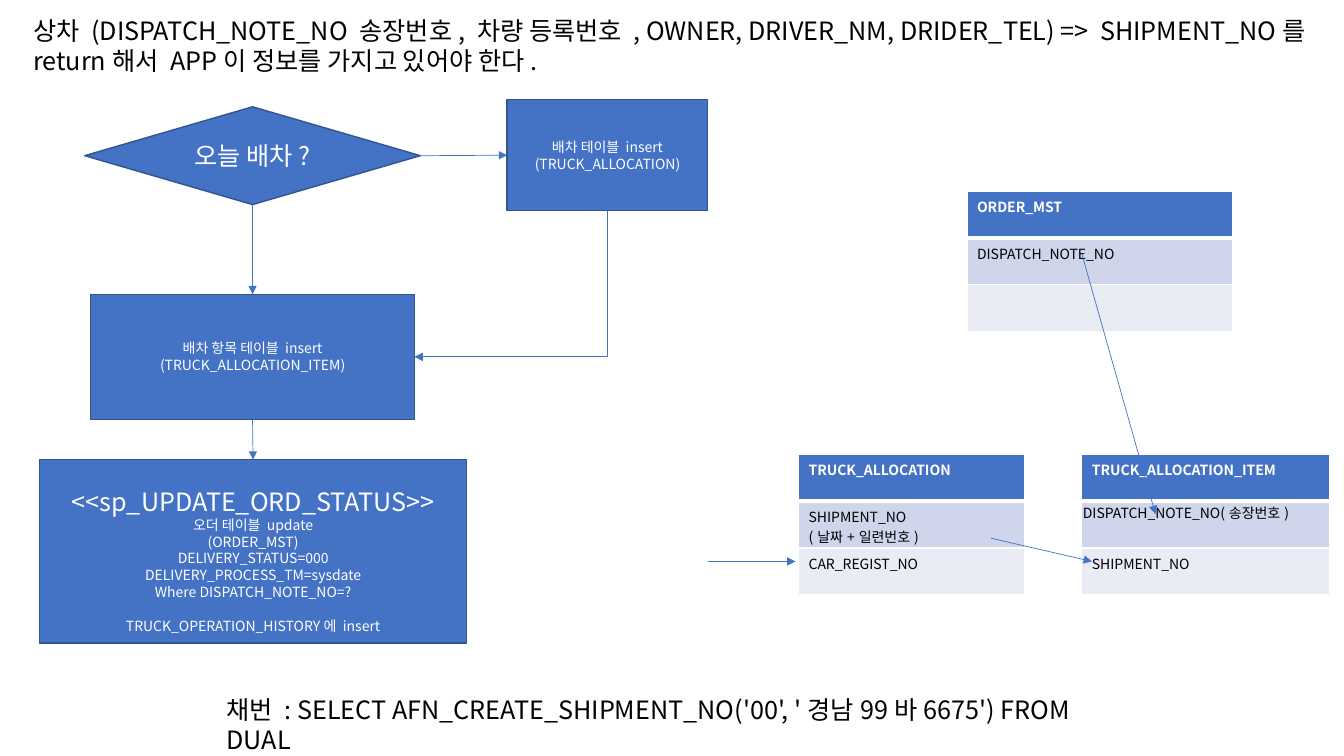
from pptx import Presentation
from pptx.dml.color import RGBColor
from pptx.enum.shapes import MSO_CONNECTOR, MSO_SHAPE
from pptx.enum.text import MSO_ANCHOR, PP_ALIGN
from pptx.oxml.ns import qn
from pptx.oxml.xmlchemy import OxmlElement
from pptx.util import Inches, Pt

BLUE = RGBColor(0x44, 0x72, 0xC4)
OUTLINE = RGBColor(0x32, 0x54, 0x91)
BAND_DARK = RGBColor(0xCF, 0xD5, 0xEA)
BAND_LIGHT = RGBColor(0xE9, 0xEB, 0xF5)
WHITE = RGBColor(0xFF, 0xFF, 0xFF)
BLACK = RGBColor(0, 0, 0)

RECTANGLE, DIAMOND = MSO_SHAPE.RECTANGLE, MSO_SHAPE.DIAMOND
STRAIGHT, ELBOW = MSO_CONNECTOR.STRAIGHT, MSO_CONNECTOR.ELBOW
LEFT, CENTER = PP_ALIGN.LEFT, PP_ALIGN.CENTER
TOP, MIDDLE = MSO_ANCHOR.TOP, MSO_ANCHOR.MIDDLE
SIDE_TOP, SIDE_LEFT, SIDE_BOTTOM, SIDE_RIGHT = range(4)

FONT = "Noto Sans CJK KR"
LARGE, SMALL = 18, 10
ROW_HEIGHT = 0.463


def write(para, text, size=SMALL, color=BLACK, bold=False, align=LEFT, before=0):
    para.alignment = align
    para.space_before = Pt(before)
    span = para.add_run()
    span.text = text
    span.font.name = FONT
    span.font.size = Pt(size)
    span.font.bold = bold
    span.font.color.rgb = color
    east_asian = OxmlElement("a:ea")
    east_asian.set("typeface", FONT)
    span.font._element.append(east_asian)


def fill_frame(frame, lines):
    for index, (text, style) in enumerate(lines):
        para = frame.add_paragraph() if index else frame.paragraphs[0]
        write(para, text, **style)


class FlowPage:
    def __init__(self, deck):
        self.shapes = deck.slides.add_slide(deck.slide_layouts[6]).shapes

    def label(self, left, top, width, height, text):
        box = self.shapes.add_textbox(*map(Inches, (left, top, width, height)))
        box.text_frame.word_wrap = True
        write(box.text_frame.paragraphs[0], text, size=LARGE)

    def node(self, kind, left, top, width, height, lines, top_margin=0.05):
        shape = self.shapes.add_shape(kind, *map(Inches, (left, top, width, height)))
        shape.shadow.inherit = False
        shape.fill.solid()
        shape.fill.fore_color.rgb = BLUE
        shape.line.color.rgb = OUTLINE
        shape.line.width = Pt(1)
        frame = shape.text_frame
        frame.word_wrap = True
        frame.vertical_anchor = MIDDLE
        frame.margin_top = Inches(top_margin)
        base = {"color": WHITE, "align": CENTER}
        fill_frame(frame, [(text, base | style) for text, style in lines])
        return shape

    def arrow(self, start=(0, 0), end=(0, 0), kind=STRAIGHT):
        line = self.shapes.add_connector(kind, *map(Inches, start + end))
        line.line.color.rgb = BLUE
        line.line.width = Pt(0.5)
        head = OxmlElement("a:tailEnd")
        head.set("type", "triangle")
        line.line._get_or_add_ln().append(head)
        line._element.spPr.append(OxmlElement("a:effectLst"))
        return line

    def join(self, source, source_side, target, target_side, kind=STRAIGHT):
        line = self.arrow(kind=kind)
        line.begin_connect(source, source_side)
        line.end_connect(target, target_side)
        return line

    def join_down_left(self, source, target):
        line = self.join(source, SIDE_BOTTOM, target, SIDE_RIGHT, ELBOW)
        across, down = line.begin_x - line.end_x, line.end_y - line.begin_y
        middle_x, middle_y = line.end_x + across // 2, line.begin_y + down // 2
        properties = line._element.spPr
        frame = properties.find(qn("a:xfrm"))
        frame.attrib.clear()
        frame.set("rot", "5400000")
        line.left, line.top = middle_x - down // 2, middle_y - across // 2
        line.width, line.height = down, across
        properties.find(qn("a:prstGeom")).set("prst", "bentConnector2")

    def entity(self, left, top, width, name, *fields):
        size = map(Inches, (left, top, width, 3 * ROW_HEIGHT))
        table = self.shapes.add_table(3, 1, *size).table
        fills = (BLUE, BAND_DARK, BAND_LIGHT)
        rows = ([name], *fields)
        for index, (fill, texts) in enumerate(zip(fills, rows)):
            cell = table.cell(index, 0)
            header = index == 0
            style = {"color": WHITE if header else BLACK, "bold": header}
            fill_frame(cell.text_frame, [(text, style) for text in texts])
            cell.vertical_anchor = TOP
            self.borders(cell, {"a:lnT": 3 if index == 1 else 1, "a:lnB": 3 if header else 1})
            cell.fill.solid()
            cell.fill.fore_color.rgb = fill
        return table

    def borders(self, cell, widths):
        properties = cell._tc.get_or_add_tcPr()
        for side in ("a:lnL", "a:lnR", "a:lnT", "a:lnB"):
            edge = OxmlElement(side)
            edge.set("w", str(Pt(widths.get(side, 1))))
            solid = OxmlElement("a:solidFill")
            color = OxmlElement("a:srgbClr")
            color.set("val", str(WHITE))
            solid.append(color)
            edge.append(solid)
            properties.append(edge)


def main():
    deck = Presentation()
    deck.slide_width, deck.slide_height = Inches(13.33), Inches(7.5)
    page = FlowPage(deck)

    page.label(0.23, 0.1, 13.38, 0.71,
               "상차 (DISPATCH_NOTE_NO 송장번호, 차량 등록번호 , OWNER, DRIVER_NM, DRIDER_TEL) =>  "
               "SHIPMENT_NO를 return해서 APP이 정보를 가지고 있어야 한다.")

    question = page.node(DIAMOND, 0.84, 1.06, 3.33, 0.97, [("오늘 배차?", {"size": LARGE})])
    allocation = page.node(RECTANGLE, 5.03, 0.99, 1.99, 1.1, [
        ("배차 테이블 insert", {}), ("(TRUCK_ALLOCATION)", {})])
    item = page.node(RECTANGLE, 0.9, 2.92, 3.21, 1.24, [
        ("배차 항목 테이블 insert", {}), ("(TRUCK_ALLOCATION_ITEM)", {})])
    update = page.node(RECTANGLE, 0.39, 4.56, 4.24, 1.82, [
        ("<<sp_UPDATE_ORD_STATUS>>", {"size": LARGE}),
        ("오더 테이블 update", {}),
        ("(ORDER_MST)", {}),
        ("DELIVERY_STATUS=000", {}),
        ("DELIVERY_PROCESS_TM=sysdate", {}),
        ("Where DISPATCH_NOTE_NO=?", {}),
        ("TRUCK_OPERATION_HISTORY에 insert", {"before": 12})], top_margin=0.22)

    page.join(question, SIDE_RIGHT, allocation, SIDE_LEFT)
    page.join(question, SIDE_BOTTOM, item, SIDE_TOP)
    page.join(item, SIDE_BOTTOM, update, SIDE_TOP)
    page.join_down_left(allocation, item)

    page.entity(9.59, 1.9, 2.64, "ORDER_MST", ["DISPATCH_NOTE_NO"], [])
    page.entity(7.92, 4.51, 2.24, "TRUCK_ALLOCATION",
                ["SHIPMENT_NO", "(날짜+일련번호)"], ["CAR_REGIST_NO"])
    item_table = page.entity(10.73, 4.51, 2.46, "TRUCK_ALLOCATION_ITEM",
                             ["DISPATCH_NOTE_NO(송장번호)"], ["SHIPMENT_NO"])
    note_cell = item_table.cell(1, 0)
    note_cell.margin_left = note_cell.margin_top = note_cell.margin_right = Inches(0.01)
    note_cell.margin_bottom = 0

    page.arrow((7.02, 5.57), (7.89, 5.57))
    page.arrow((9.83, 5.34), (10.83, 5.57))
    page.arrow((10.73, 2.52), (11.46, 5.1))

    page.label(2.15, 6.84, 9.03, 0.4,
               "채번 : SELECT AFN_CREATE_SHIPMENT_NO('00', '경남99바6675') FROM DUAL")
    deck.save("out.pptx")


if __name__ == "__main__":
    main()
